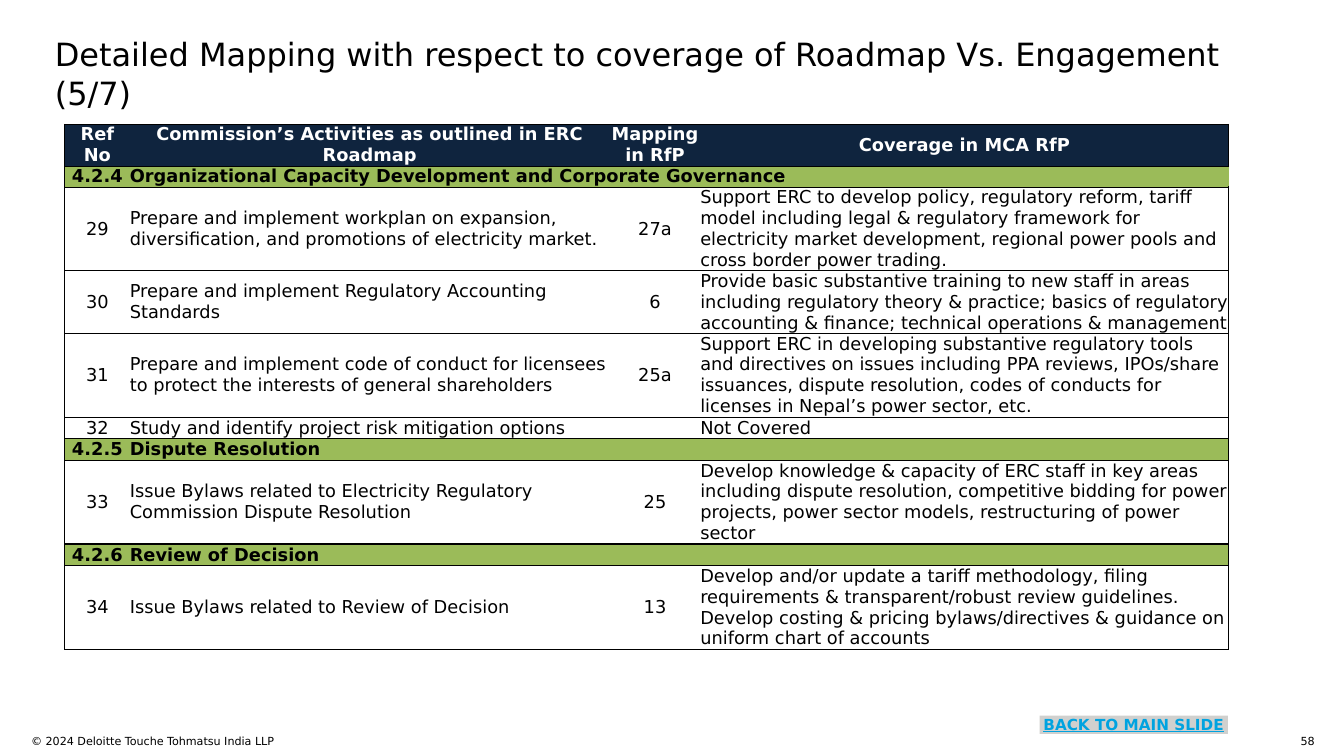
from dataclasses import dataclass
from typing import Optional

from pptx import Presentation
from pptx.dml.color import RGBColor
from pptx.enum.shapes import MSO_SHAPE as Shape
from pptx.enum.text import MSO_ANCHOR as Anchor, PP_ALIGN as Align
from pptx.oxml.ns import qn
from pptx.util import Inches, Pt
from lxml.etree import SubElement

FONT = "DejaVu Sans"
COLORS = {"black": "000000", "white": "FFFFFF", "navy": "0F243E",
          "green": "9BBB59", "gray": "D0D0CE", "blue": "00A3E0"}
COL_WIDTHS = (0.71, 5.25, 0.99, 5.78)
LINE_HEIGHT = 5.72 / 25
TABLE_SIZE = 14


@dataclass(frozen=True)
class Label:
    text: str
    left: float
    top: float
    width: float
    height: float
    size: float
    align: Align = Align.LEFT
    color: str = "black"
    bold: bool = False
    fill: Optional[str] = None


@dataclass(frozen=True)
class Row:
    """One table row; lines is its height in text lines."""
    ref: str
    activity: str
    mapping: str = ""
    coverage: str = ""
    lines: int = 1
    fill: Optional[str] = None
    color: str = "black"
    spans: bool = False

    @property
    def texts(self) -> tuple[str, ...]:
        return self.ref, self.activity, self.mapping, self.coverage


LABELS = (
    Label("© 2024 Deloitte Touche Tohmatsu India LLP", 0.34, 8.03, 6.46, 0.24, 8.8),
    Label("58", 14.01, 8.03, 0.37, 0.12, 8.8, Align.RIGHT),
    Label("Detailed Mapping with respect to coverage of Roadmap Vs. Engagement (5/7)",
          0.6, 0.38, 13.66, 0.51, 25.2),
    Label("BACK TO MAIN SLIDE", 11.37, 7.83, 2.06, 0.2, 12, Align.CENTER,
          "blue", True, "gray"),
)
ROWS = (
    Row("Ref No", "Commission’s Activities as outlined in ERC Roadmap",
        "Mapping in RfP", "Coverage in MCA RfP", 2, "navy", "white"),
    Row("4.2.4", "Organizational Capacity Development and Corporate Governance",
        fill="green", spans=True),
    Row("29", "Prepare and implement workplan on expansion, diversification, and "
        "promotions of electricity market.", "27a",
        "Support ERC to develop policy, regulatory reform, tariff model including legal "
        "& regulatory framework for electricity market development, regional power "
        "pools and cross border power trading.", 4),
    Row("30", "Prepare and implement Regulatory Accounting Standards", "6",
        "Provide basic substantive training to new staff in areas including regulatory "
        "theory & practice; basics of regulatory accounting & finance; technical "
        "operations & management", 3),
    Row("31", "Prepare and implement code of conduct for licensees to protect the "
        "interests of general shareholders", "25a",
        "Support ERC in developing substantive regulatory tools and directives on "
        "issues including PPA reviews, IPOs/share issuances, dispute resolution, codes "
        "of conducts for licenses in Nepal’s power sector, etc.", 4),
    Row("32", "Study and identify project risk mitigation options", "", "Not Covered"),
    Row("4.2.5", "Dispute Resolution", fill="green"),
    Row("33", "Issue Bylaws related to Electricity Regulatory Commission Dispute "
        "Resolution", "25",
        "Develop knowledge & capacity of ERC staff in key areas including dispute "
        "resolution, competitive bidding for power projects, power sector models, "
        "restructuring of power sector", 4),
    Row("4.2.6", "Review of Decision", fill="green"),
    Row("34", "Issue Bylaws related to Review of Decision", "13",
        "Develop and/or update a tariff methodology, filing requirements & "
        "transparent/robust review guidelines. Develop costing & pricing "
        "bylaws/directives & guidance on uniform chart of accounts", 4),
)


def rgb(name: str) -> RGBColor:
    return RGBColor.from_string(COLORS[name])


def set_fill(fill, color: Optional[str]) -> None:
    if color:
        fill.solid()
        fill.fore_color.rgb = rgb(color)
    else:
        fill.background()


def format_text(p, size: float, color: str, bold: bool, align: Align) -> None:
    p.alignment = align
    for r in p.runs:
        r.font.name = FONT
        r.font.size = Pt(size)
        r.font.bold = bold
        r.font.color.rgb = rgb(color)


def add_label(slide, label: Label) -> None:
    box = [Inches(n) for n in (label.left, label.top, label.width, label.height)]
    if label.fill:
        sp = slide.shapes.add_shape(Shape.RECTANGLE, *box)
        sp.shadow.inherit = False
        set_fill(sp.fill, label.fill)
        sp.line.fill.background()
    else:
        sp = slide.shapes.add_textbox(*box)
    tf = sp.text_frame
    tf.word_wrap = True
    tf.margin_left = tf.margin_right = tf.margin_top = tf.margin_bottom = 0
    tf.vertical_anchor = Anchor.TOP
    tf.text = label.text
    p = tf.paragraphs[0]
    format_text(p, label.size, label.color, label.bold, label.align)
    if label.fill:
        p.runs[0].font.underline = True


def set_borders(cell, visible: str) -> None:
    """Draw the sides named in visible (of L, R, T, B) and clear the others."""
    tc_pr = cell._tc.get_or_add_tcPr()
    for side in "LRTB":
        ln = SubElement(tc_pr, qn(f"a:ln{side}"), w=str(Pt(1)))
        if side in visible:
            solid = SubElement(ln, qn("a:solidFill"))
            SubElement(solid, qn("a:srgbClr"), val=COLORS["black"])
        else:
            SubElement(ln, qn("a:noFill"))


def fill_cell(cell, row: Row, col: int) -> None:
    header = row.color == "white"
    set_borders(cell, "TB" + {0: "L", len(COL_WIDTHS) - 1: "R"}.get(col, ""))
    set_fill(cell.fill, row.fill)
    cell.margin_left = cell.margin_right = cell.margin_top = cell.margin_bottom = 0
    cell.vertical_anchor = Anchor.MIDDLE
    p = cell.text_frame.paragraphs[0]
    text = row.texts[col]
    if text:
        p.text = text
        align = Align.CENTER if header or col in (0, 2) else Align.LEFT
        format_text(p, TABLE_SIZE, row.color, row.fill is not None, align)
    else:
        SubElement(p._p, qn("a:endParaRPr"), sz=str(TABLE_SIZE * 100))


def add_mapping_table(slide) -> None:
    height = LINE_HEIGHT * sum(row.lines for row in ROWS)
    table = slide.shapes.add_table(
        len(ROWS), len(COL_WIDTHS), Inches(0.71), Inches(1.36),
        Inches(sum(COL_WIDTHS)), Inches(height)).table
    table.first_row = table.horz_banding = False
    for column, width in zip(table.columns, COL_WIDTHS):
        column.width = Inches(width)
    for i, row in enumerate(ROWS):
        table.rows[i].height = Inches(LINE_HEIGHT * row.lines)
        for col in range(len(COL_WIDTHS)):
            fill_cell(table.cell(i, col), row, col)
        if row.spans:
            table.cell(i, 1).merge(table.cell(i, len(COL_WIDTHS) - 1))


def main() -> None:
    prs = Presentation()
    prs.slide_width, prs.slide_height = Inches(14.7), Inches(8.27)
    s = prs.slides.add_slide(prs.slide_layouts[6])
    add_mapping_table(s)
    for label in LABELS:
        add_label(s, label)
    prs.save("out.pptx")


if __name__ == "__main__":
    main()
